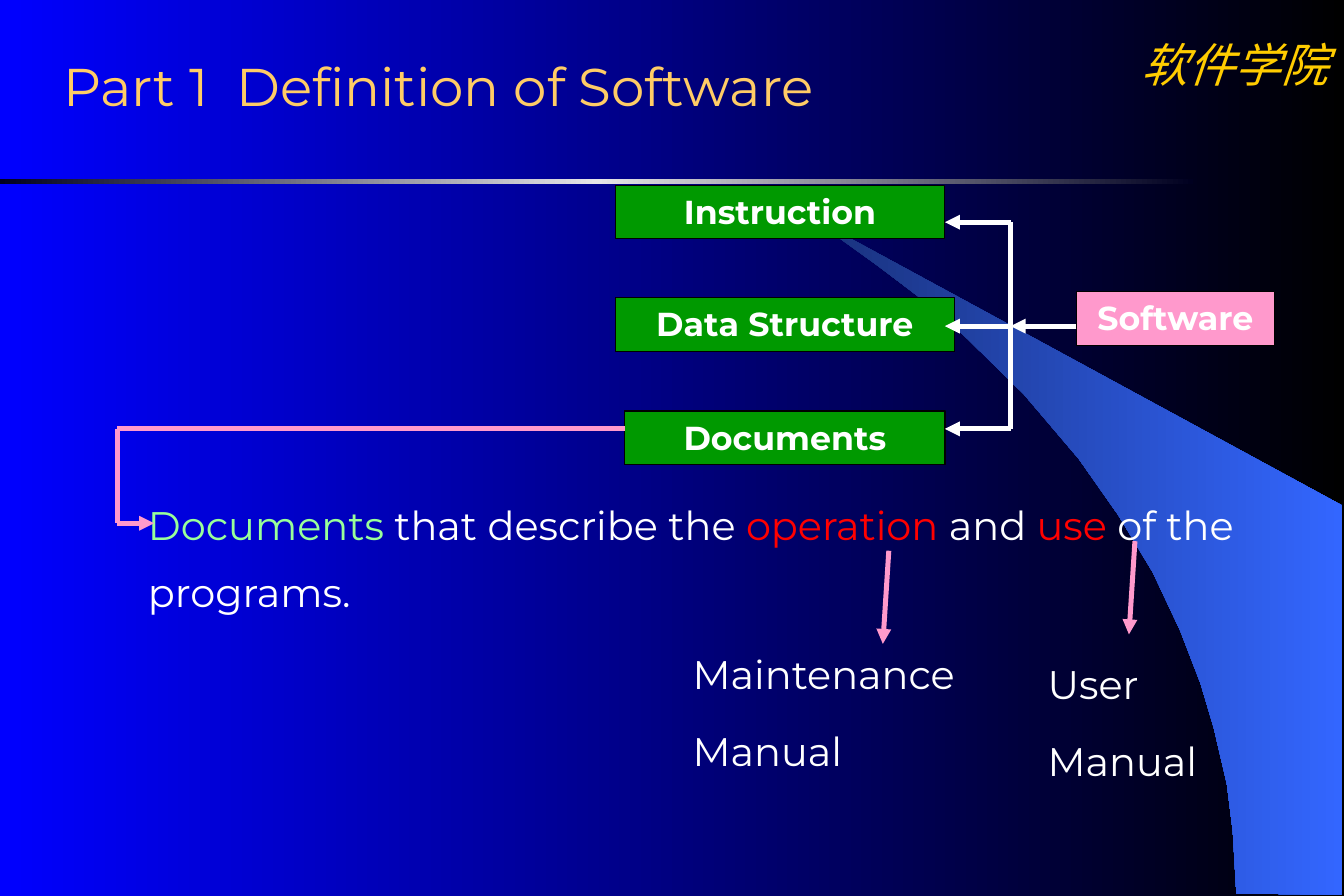
import copy

from lxml import etree
from pptx import Presentation, util as u
from pptx.dml.color import RGBColor
from pptx.enum import shapes, text
from pptx.oxml.ns import qn

# Content
COLORS = dict(blue="0000FF", black="000000", navy="182F76", sky="3366FF",
              edge="000020", silver="E5E5E8", gold="FFCC00", title="FFCC66",
              white="FFFFFF", pink="FF99CC", green="009900", mint="99FF99",
              red="FF0000")

BODY = dict(name="Montserrat", size=u.Pt(24))
LABEL = dict(name="Montserrat", size=u.Pt(20), bold=True)
TITLE = dict(name="Montserrat", size=u.Pt(32))
SCHOOL = dict(name="Times New Roman", size=u.Pt(28), italic=True)

CENTER, MIDDLE = text.PP_ALIGN.CENTER, text.MSO_ANCHOR.MIDDLE
SPACED = dict(line_spacing=1.4)

# place, paragraphs of (wording, colour) runs, font, paragraph format, anchor
headings = [
    ((9.42, 0.25, 1.83, 0.57), [[("软件学院", "gold")]], SCHOOL,
     dict(alignment=CENTER), text.MSO_ANCHOR.TOP),
    ((0.43, 0.44, 7.72, 0.55), [[("Part 1  Definition of Software", "title")]],
     TITLE, {}, MIDDLE),
]
explanations = [
    ((1.14, 3.98, 10.11, 1.15),
     [[("Documents ", "mint"), ("that describe the ", "white"),
       ("operation", "red"), (" and ", "white"), ("use", "red"),
       (" of the programs.", "white")]]),
    ((5.7, 5.23, 2.73, 1.15),
     [[("Maintenance", "white")], [("Manual", "white")]]),
    ((8.67, 5.31, 2.19, 1.15),
     [[("User", "white")], [("Manual", "white")]]),
]

BOX_HEIGHT = 0.45
boxes = [  # wording, left, top, width, fill
    ("Software", 9.01, 2.44, 1.66, "pink"),
    ("Documents", 5.23, 3.44, 2.68, "green"),
    ("Data Structure", 5.15, 2.49, 2.84, "green"),
    ("Instruction", 5.15, 1.55, 2.76, "green"),
]

# Software tree: a trunk with one branch for each component
trunk, tips = 8.46, 7.91
branches = [1.86, 2.73, 3.59]
tree_lines = [  # from, to, arrow
    ((9.01, branches[1]), (trunk, branches[1]), True),
    ((trunk, branches[-1]), (trunk, branches[0]), False),
] + [((trunk, y), (tips, y), True) for y in branches]

# Path from the Documents box to its definition, then to the two manuals
bend = 0.98
document_lines = [
    ((bend, 4.38), (1.29, 4.38), True),
    ((bend, branches[-1]), (5.23, branches[-1]), False),
    ((bend, branches[-1]), (bend, 4.38), False),
    ((7.44, 4.61), (7.39, 5.39), True),
    ((9.5, 4.53), (9.45, 5.31), True),
]

swoosh_points = [
    (10.35, 7.48), (11.23, 7.49), (11.23, 4.23), (6.63, 1.73), (7.02, 1.99),
    (7.34, 2.22), (7.71, 2.5), (8.06, 2.8), (8.57, 3.3), (9.03, 3.84),
    (9.36, 4.31), (9.65, 4.79), (9.88, 5.28), (10.05, 5.72), (10.16, 6.09),
    (10.27, 6.56), (10.32, 6.96)]


def rgb(name):
    return RGBColor.from_string(COLORS[name])


def inches(values):
    return [u.Inches(v) for v in values]


def apply(target, values):
    for key, value in values.items():
        setattr(target, key, value)


def paint_gradient(fill, *names):
    """Spread the named colours evenly from left to right."""
    fill.gradient()
    fill.gradient_angle = 0
    first = fill.gradient_stops[0]._gs
    for _ in names[2:]:
        first.addnext(copy.deepcopy(first))
    for i, (stop, name) in enumerate(zip(fill.gradient_stops, names)):
        stop.color.rgb = rgb(name)
        stop.position = i / (len(names) - 1)


def write(frame, paragraphs, font, layout, anchor=text.MSO_ANCHOR.TOP):
    apply(frame, dict(word_wrap=True, vertical_anchor=anchor))
    for i, runs in enumerate(paragraphs):
        paragraph = frame.add_paragraph() if i else frame.paragraphs[0]
        apply(paragraph, layout)
        if i:
            paragraph.space_before = u.Pt(6)
        for wording, color in runs:
            run = paragraph.add_run()
            run.text = wording
            apply(run.font, font)
            run.font.color.rgb = rgb(color)


def add_line(start, end, arrow, color):
    line = slide.shapes.add_connector(
        shapes.MSO_CONNECTOR.STRAIGHT, *inches(start + end))
    line.line.width = u.Pt(3)
    line.line.color.rgb = rgb(color)
    if arrow:
        etree.SubElement(line.line._get_or_add_ln(), qn("a:tailEnd"), type="triangle")
    etree.SubElement(line._element.spPr, qn("a:effectLst"))


def add_text(place, *content):
    write(slide.shapes.add_textbox(*inches(place)).text_frame, *content)


deck = Presentation()
apply(deck, dict(slide_width=u.Inches(11.25), slide_height=u.Inches(7.5)))
slide = deck.slides.add_slide(deck.slide_layouts[6])

# Background, swoosh and rule
paint_gradient(slide.background.fill, "blue", "black")
outline = [inches(point) for point in swoosh_points]
builder = slide.shapes.build_freeform(*outline[0])
builder.add_line_segments(outline[1:], close=True)
swoosh = builder.convert_to_shape()
rule = slide.shapes.add_shape(
    shapes.MSO_SHAPE.RECTANGLE, *inches((0, 1.5, 9.99, 0.04)))
for decoration, blend in ((swoosh, ("navy", "sky")),
                          (rule, ("edge", "silver", "edge"))):
    paint_gradient(decoration.fill, *blend)
    decoration.line.fill.background()
    decoration.shadow.inherit = False

# Headings
for heading in headings:
    add_text(*heading)

# Software and its components
for wording, left, top, width, color in boxes:
    box = slide.shapes.add_shape(
        shapes.MSO_SHAPE.RECTANGLE, *inches((left, top, width, BOX_HEIGHT)))
    box.shadow.inherit = False
    box.fill.solid()
    box.fill.fore_color.rgb = rgb(color)
    box.line.color.rgb = rgb("black")
    box.line.width = u.Pt(0.75)
    write(box.text_frame, [[(wording, "white")]], LABEL, dict(alignment=CENTER))
for line in tree_lines:
    add_line(*line, "white")

# Definition of documents and the manuals
for place, paragraphs in explanations:
    add_text(place, paragraphs, BODY, SPACED)
for line in document_lines:
    add_line(*line, "pink")

deck.save("out.pptx")
